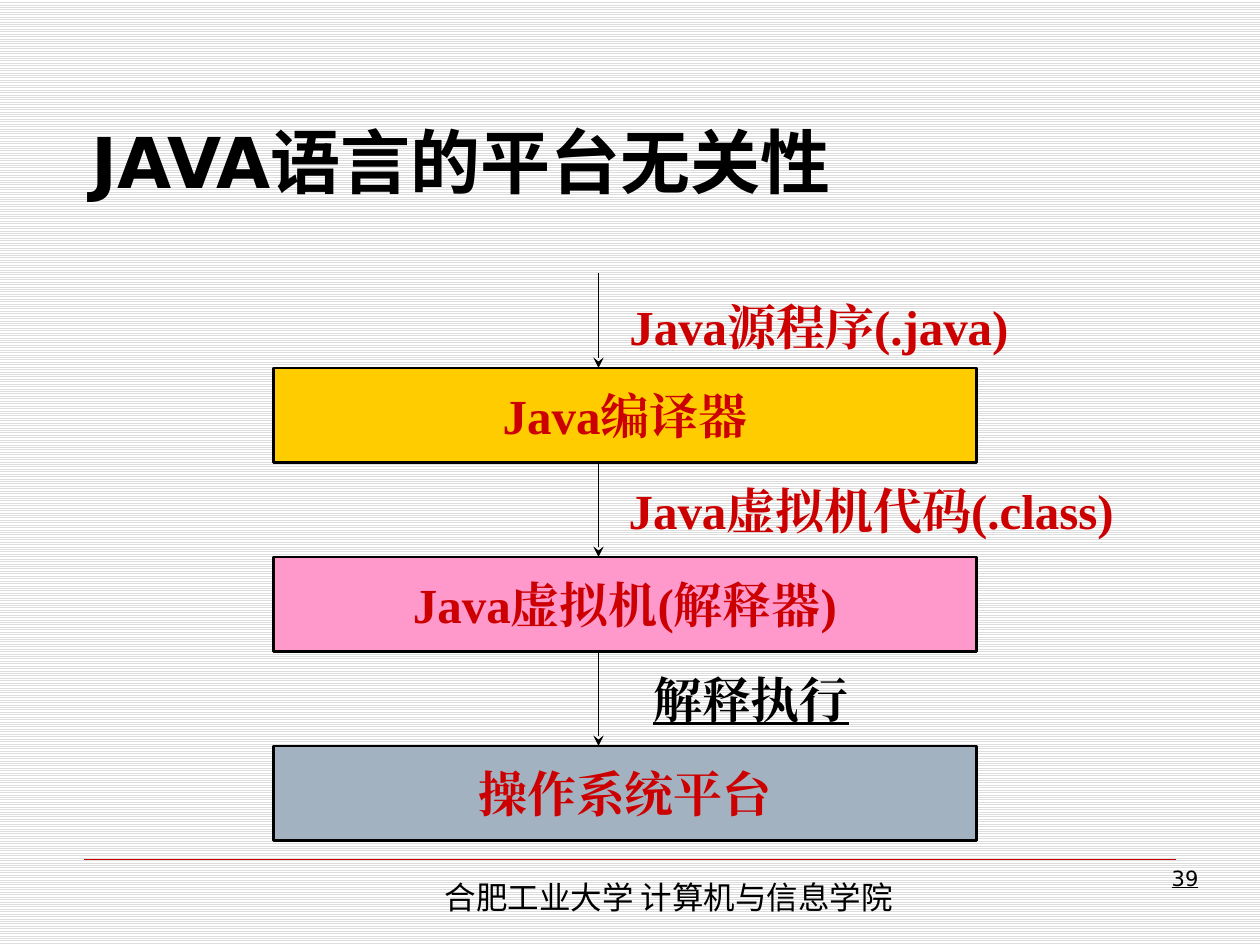
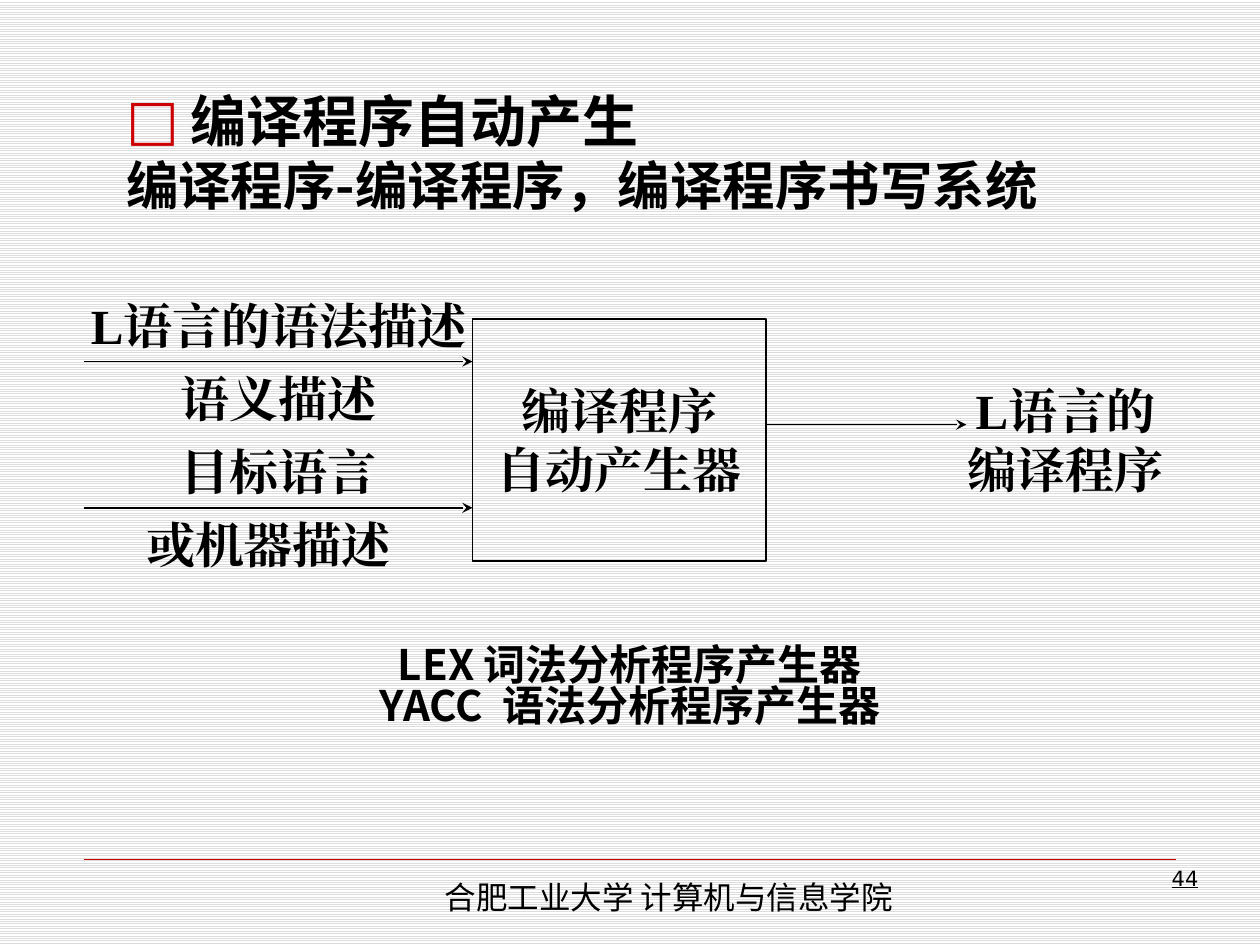
import pptx
import pptx.util
import pptx.dml.color
import pptx.enum.dml
import pptx.enum.shapes
import pptx.enum.text
import pptx.oxml
import pptx.oxml.ns

Inches = pptx.util.Inches
Pt = pptx.util.Pt
RGB = pptx.dml.color.RGBColor
Align = pptx.enum.text.PP_ALIGN
Anchor = pptx.enum.text.MSO_ANCHOR

BLACK = RGB(0x00, 0x00, 0x00)
WHITE = RGB(0xFF, 0xFF, 0xFF)
STRIPE = RGB(0xDD, 0xDD, 0xDD)
RED = RGB(0xCC, 0x00, 0x00)
GOLD = RGB(0xFF, 0xCC, 0x00)
PINK = RGB(0xFF, 0x99, 0xCC)
STEEL = RGB(0xA3, 0xB2, 0xC1)

SANS = "DejaVu Sans"
HAN = "Noto Sans CJK SC"
SERIF = "Times New Roman"
TIGHT = 0.82  # line spacing for the tall Han font
TITLE_ONLY, CONTENT = 5, 1


def child(parent, tag, **attrs):
    """Append a DrawingML element to parent."""
    node = pptx.oxml.parse_xml(f"<a:{tag} {pptx.oxml.ns.nsdecls('a')}/>")
    for name, value in attrs.items():
        node.set(name, value)
    parent.append(node)
    return node


class Deck:
    def __init__(self):
        self.prs = pptx.Presentation()
        self.prs.slide_width = Inches(10)
        self.prs.slide_height = Inches(7.5)
        self.slide = None
        # Striped background for every slide
        fill = self.prs.slide_master.background.fill
        fill.patterned()
        fill.pattern = pptx.enum.dml.MSO_PATTERN.LIGHT_HORIZONTAL
        fill.fore_color.rgb = STRIPE
        fill.back_color.rgb = WHITE

    def start(self, layout, number):
        """Open a slide with its footer rule, footer and page number."""
        self.slide = self.prs.slides.add_slide(self.prs.slide_layouts[layout])
        self.line(0.67, 6.82, 9.33, 6.82, RED, 0.25)
        foot = self.text(3.43, 6.97, 4.8, 0.4)
        self.para(foot, "合肥工业大学 计算机与信息学院", 18, HAN, bold=False,
                  align=Align.LEFT, spacing=TIGHT)
        page = self.text(7.44, 6.82, 2.17, 0.52)
        self.para(page, number, 12, SANS, bold=False, under=True,
                  align=Align.RIGHT)

    def place(self, shape, x, y, w, h):
        shape.left, shape.top = Inches(x), Inches(y)
        shape.width, shape.height = Inches(w), Inches(h)
        shape.text_frame.auto_size = pptx.enum.text.MSO_AUTO_SIZE.NONE
        return shape.text_frame

    def title(self, words):
        frame = self.place(self.slide.shapes.title, 0.63, 0.33, 8.75, 1.33)
        frame.vertical_anchor = Anchor.BOTTOM
        self.para(frame, words, 40, SANS, align=Align.LEFT)

    def body(self, x, y, w, h):
        """Use the content placeholder alone; drop the empty title."""
        head = self.slide.shapes.title._element
        head.getparent().remove(head)
        return self.place(self.slide.placeholders[1], x, y, w, h)

    def text(self, x, y, w, h):
        box = self.slide.shapes.add_textbox(0, 0, 0, 0)
        frame = self.place(box, x, y, w, h)
        frame.word_wrap = True
        return frame

    def para(self, frame, words, size, font=SERIF, color=BLACK, bold=True,
             under=None, align=Align.CENTER, spacing=None, before=0):
        para = frame.paragraphs[0]
        if para.runs:
            para = frame.add_paragraph()
        para.alignment = align
        para.space_before = Pt(before)
        para.line_spacing = spacing
        run = para.add_run()
        run.text = words
        run.font.size, run.font.name = Pt(size), font
        run.font.bold, run.font.underline = bold, under
        run.font.color.rgb = color
        child(run._r.get_or_add_rPr(), "ea", typeface=font)
        return para

    def hang(self, para, mark=None):
        """Give a paragraph a hanging indent, with a red mark if any."""
        props = para._p.get_or_add_pPr()
        props.set("marL", str(Inches(0.51)))
        props.set("indent", str(-Inches(0.51)))
        if mark:
            tint = child(props, "buClr")
            child(tint, "srgbClr", val=str(RED))
            child(props, "buFont", typeface=SANS)
            child(props, "buChar", char=mark)
        else:
            child(props, "buNone")

    def label(self, x, y, w, h, lines, color=BLACK, under=None):
        self.middle(self.text(x, y, w, h), lines, color, under)

    def middle(self, frame, lines, color, under=None):
        """Centre unwrapped lines in a frame."""
        frame.word_wrap = False
        frame.vertical_anchor = Anchor.MIDDLE
        frame.margin_left = frame.margin_right = 0
        for words in lines:
            self.para(frame, words, 28, color=color, under=under)

    def box(self, x, y, w, h, lines, color=BLACK, fill=None, weight=1):
        rect = self.slide.shapes.add_shape(
            pptx.enum.shapes.MSO_SHAPE.RECTANGLE, 0, 0, 0, 0)
        rect.shadow.inherit = False
        if fill is None:
            rect.fill.background()
        else:
            rect.fill.solid()
            rect.fill.fore_color.rgb = fill
        rect.line.color.rgb = BLACK
        rect.line.width = Pt(weight)
        self.middle(self.place(rect, x, y, w, h), lines, color)

    def line(self, x1, y1, x2, y2, color=BLACK, weight=1.0):
        link = self.slide.shapes.add_connector(
            pptx.enum.shapes.MSO_CONNECTOR.STRAIGHT,
            Inches(x1), Inches(y1), Inches(x2), Inches(y2))
        link.line.color.rgb = color
        link.line.width = Pt(weight)
        child(link._element.spPr, "effectLst")
        return link

    def arrow(self, x1, y1, x2, y2):
        link = self.line(x1, y1, x2, y2)
        child(link.line._get_or_add_ln(), "tailEnd", type="stealth")


def java(deck):
    deck.start(TITLE_ONLY, "39")
    deck.title("JAVA语言的平台无关性")
    # Each stage: an arrow with its label, then a box
    stages = [
        ("Java源程序(.java)", 3, RED, None, "Java编译器", GOLD),
        ("Java虚拟机代码(.class)", 3.83, RED, None, "Java虚拟机(解释器)", PINK),
        ("解释执行", 1.92, BLACK, True, "操作系统平台", STEEL),
    ]
    step, high = 1.5, 0.75
    for i, (note, wide, color, under, name, fill) in enumerate(stages):
        top = 2.17 + i * step
        deck.box(2.17, top + high, 5.58, high, [name], RED, fill, 1.5)
        deck.arrow(4.75, top, 4.75, top + high)
        deck.label(5, top + (0.04 if i == 0 else 0), wide, high, [note],
                   color, under)


def maker(deck):
    deck.start(CONTENT, "44")
    # Heading lines
    frame = deck.body(0.9, 0.73, 8.19, 1.3)
    deck.hang(deck.para(frame, "编译程序自动产生", 32, HAN, align=Align.LEFT,
                        spacing=TIGHT, before=24), "□")
    deck.hang(deck.para(frame, "编译程序-编译程序，编译程序书写系统", 30, HAN,
                        align=Align.LEFT, spacing=TIGHT, before=6))
    # Tools
    tools = deck.text(0.75, 5.09, 8.5, 1.02)
    for words in ("LEX 词法分析程序产生器", "YACC  语法分析程序产生器"):
        deck.para(tools, words, 24, HAN, spacing=TIGHT)
    # Generator and its inputs
    deck.box(3.75, 2.53, 2.33, 1.92, ["编译程序", "自动产生器"])
    row = 0.58
    inputs = [(2.87, 0.75, "L语言的语法描述", "语义描述"),
              (4.03, 0.67, "目标语言", "或机器描述")]
    for y, left, above, below in inputs:
        deck.label(0.75, y - row, 2.92, row, [above])
        deck.label(left, y, 2.92, row, [below])
        deck.arrow(0.67, y, 3.75, y)
    # Output
    deck.arrow(6.08, 3.37, 7.67, 3.37)
    deck.label(7.58, 2.7, 1.75, 1.58, ["L语言的", "编译程序"])


def main():
    deck = Deck()
    java(deck)
    maker(deck)
    deck.prs.save("out.pptx")


if __name__ == "__main__":
    main()
